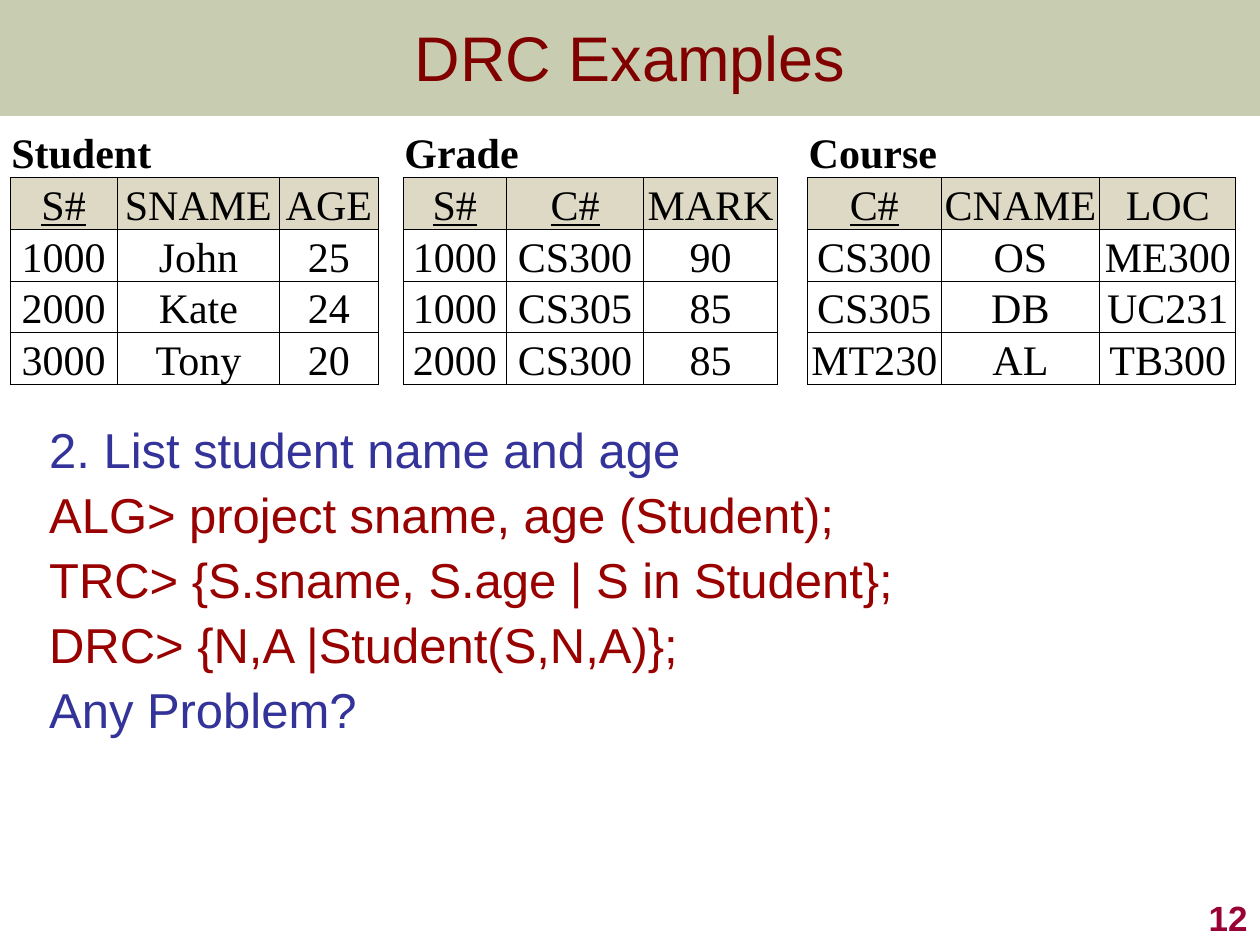
from dataclasses import dataclass
from typing import Optional

import pptx
import pptx.dml.color
import pptx.enum.shapes
import pptx.enum.text
import pptx.oxml
import pptx.oxml.ns
import pptx.util
from lxml import etree
from pptx.util import Inches

ALIGN = pptx.enum.text.PP_ALIGN
ANCHOR = pptx.enum.text.MSO_ANCHOR


@dataclass(frozen=True)
class Theme:
    sans: str = "Arial"
    serif: str = "Times New Roman"
    band: str = "677228"
    band_alpha: int = 36
    title: str = "800000"
    question: str = "333399"
    answer: str = "990000"
    page: str = "990033"
    ink: str = "000000"
    paper: str = "FFFFFF"
    header: str = "DDD9C4"
    title_size: float = 36
    body_size: float = 28
    table_size: float = 24
    page_size: float = 20
    border: float = 0.5


@dataclass(frozen=True)
class Relation:
    name: str
    widths: tuple[float, ...]
    keys: tuple[str, ...]
    rows: tuple[tuple[str, ...], ...]


THEME = Theme()
GUTTERS = (0.2, 0.24)
ROW_HEIGHT = 0.38
RELATIONS = (
    Relation("Student", (0.85, 1.29, 0.78), ("S#",), (
        ("S#", "SNAME", "AGE"),
        ("1000", "John", "25"),
        ("2000", "Kate", "24"),
        ("3000", "Tony", "20"),
    )),
    Relation("Grade", (0.82, 1.09, 1.06), ("S#", "C#"), (
        ("S#", "C#", "MARK"),
        ("1000", "CS300", "90"),
        ("1000", "CS305", "85"),
        ("2000", "CS300", "85"),
    )),
    Relation("Course", (1.06, 1.26, 1.08), ("C#",), (
        ("C#", "CNAME", "LOC"),
        ("CS300", "OS", "ME300"),
        ("CS305", "DB", "UC231"),
        ("MT230", "AL", "TB300"),
    )),
)
QUERY_LINES = (
    ("2. List student name and age", THEME.question),
    ("ALG> project sname, age (Student);", THEME.answer),
    ("TRC> {S.sname, S.age | S in Student};", THEME.answer),
    ("DRC> {N,A |Student(S,N,A)};", THEME.answer),
    ("Any Problem?", THEME.question),
)


def rgb(color: str) -> pptx.dml.color.RGBColor:
    return pptx.dml.color.RGBColor.from_string(color)


def write(paragraph, text: str, *, size: float, color: str, font: str = THEME.sans,
          bold: bool = False, underline: bool = False,
          align: Optional[ALIGN] = None) -> None:
    run = paragraph.add_run()
    run.text = text
    run.font.name = font
    run.font.size = pptx.util.Pt(size)
    run.font.color.rgb = rgb(color)
    run.font.bold = bold
    run.font.underline = underline
    paragraph.alignment = align


def place(shape, left: float, top: float, width: float, height: float) -> None:
    shape.left, shape.top = Inches(left), Inches(top)
    shape.width, shape.height = Inches(width), Inches(height)


def draw_band(slide) -> None:
    band = slide.shapes.add_shape(
        pptx.enum.shapes.MSO_SHAPE.RECTANGLE, 0, 0, Inches(10), Inches(0.92))
    band.shadow.inherit = False
    band.line.fill.background()
    band.fill.solid()
    band.fill.fore_color.rgb = rgb(THEME.band)
    tint = band.element.spPr.find(".//" + pptx.oxml.ns.qn("a:srgbClr"))
    etree.SubElement(tint, pptx.oxml.ns.qn("a:alpha"), val=str(THEME.band_alpha * 1000))
    slide.shapes.title.element.addprevious(band.element)


def draw_title(slide) -> None:
    title = slide.shapes.title
    place(title, 0, 0, 10, 0.89)
    title.text_frame.auto_size = pptx.enum.text.MSO_AUTO_SIZE.NONE
    title.text_frame.vertical_anchor = ANCHOR.MIDDLE
    write(title.text_frame.paragraphs[0], "DRC Examples", size=THEME.title_size,
          color=THEME.title, align=ALIGN.CENTER)


def draw_queries(slide) -> None:
    queries = slide.placeholders[1]
    place(queries, 0.29, 3.33, 9.07, 2.67)
    frame = queries.text_frame
    frame.auto_size = pptx.enum.text.MSO_AUTO_SIZE.NONE
    frame.margin_left, frame.margin_right = Inches(0.1), 0
    for index, (text, color) in enumerate(QUERY_LINES):
        line = frame.add_paragraph() if index else frame.paragraphs[0]
        properties = line._p.get_or_add_pPr()
        properties.set("marL", str(Inches(0.38)))
        properties.set("indent", str(Inches(-0.38)))
        etree.SubElement(properties, pptx.oxml.ns.qn("a:buNone"))
        line.line_spacing = 0.9
        line.space_before = pptx.util.Pt(7 if index else 0)
        write(line, text, size=THEME.body_size, color=color)


def format_cell(cell, sides: str, fill: str) -> None:
    properties = cell._tc.get_or_add_tcPr()
    for side in "LRTB":
        edge = etree.SubElement(properties, pptx.oxml.ns.qn(f"a:ln{side}"),
                                w=str(pptx.util.Pt(THEME.border)))
        if side in sides:
            paint = etree.SubElement(edge, pptx.oxml.ns.qn("a:solidFill"))
            etree.SubElement(paint, pptx.oxml.ns.qn("a:srgbClr"), val=THEME.ink)
        else:
            etree.SubElement(edge, pptx.oxml.ns.qn("a:noFill"))
    cell.fill.solid()
    cell.fill.fore_color.rgb = rgb(fill)
    cell.margin_left = cell.margin_right = cell.margin_top = Inches(0.01)
    cell.margin_bottom = 0
    cell.vertical_anchor = ANCHOR.BOTTOM


def fill_relation(table, relation: Relation, first: int) -> None:
    last = first + len(relation.widths) - 1
    for column in range(first, last + 1):
        format_cell(table.cell(0, column), "B", THEME.paper)
    heading = table.cell(0, first)
    heading.merge(table.cell(0, last))
    write(heading.text_frame.paragraphs[0], relation.name, size=THEME.table_size,
          color=THEME.ink, font=THEME.serif, bold=True)
    for row, values in enumerate(relation.rows, start=1):
        for column, value in enumerate(values, start=first):
            cell = table.cell(row, column)
            format_cell(cell, "LRTB", THEME.header if row == 1 else THEME.paper)
            write(cell.text_frame.paragraphs[0], value, size=THEME.table_size,
                  color=THEME.ink, font=THEME.serif, align=ALIGN.CENTER,
                  underline=row == 1 and value in relation.keys)


def draw_relations(slide) -> None:
    widths: list[float] = []
    starts: list[int] = []
    for index, relation in enumerate(RELATIONS):
        if index:
            widths.append(GUTTERS[index - 1])
        starts.append(len(widths))
        widths.extend(relation.widths)
    row_count = 1 + len(RELATIONS[0].rows)
    table = slide.shapes.add_table(
        row_count, len(widths), Inches(0.08), Inches(1),
        Inches(sum(widths)), Inches(ROW_HEIGHT * row_count)).table
    table.first_row = table.horz_banding = False
    for column, width in zip(table.columns, widths):
        column.width = Inches(width)
    for row in table.rows:
        row.height = Inches(ROW_HEIGHT)
    for relation, start in zip(RELATIONS, starts):
        fill_relation(table, relation, start)
    for start in starts[1:]:
        for row in range(row_count):
            format_cell(table.cell(row, start - 1), "LR" if row else "", THEME.paper)


def draw_page_number(slide) -> None:
    frame = slide.shapes.add_textbox(
        Inches(7.92), Inches(7), Inches(2.08), Inches(0.5)).text_frame
    frame.word_wrap = True
    frame.vertical_anchor = ANCHOR.BOTTOM
    write(frame.paragraphs[0], "12", size=THEME.page_size, color=THEME.page,
          bold=True, align=ALIGN.RIGHT)


def main() -> None:
    deck = pptx.Presentation()
    deck.slide_width, deck.slide_height = Inches(10), Inches(7.5)
    slide = deck.slides.add_slide(deck.slide_layouts[1])
    draw_band(slide)
    draw_title(slide)
    draw_queries(slide)
    draw_page_number(slide)
    draw_relations(slide)
    deck.save("out.pptx")


if __name__ == "__main__":
    main()
